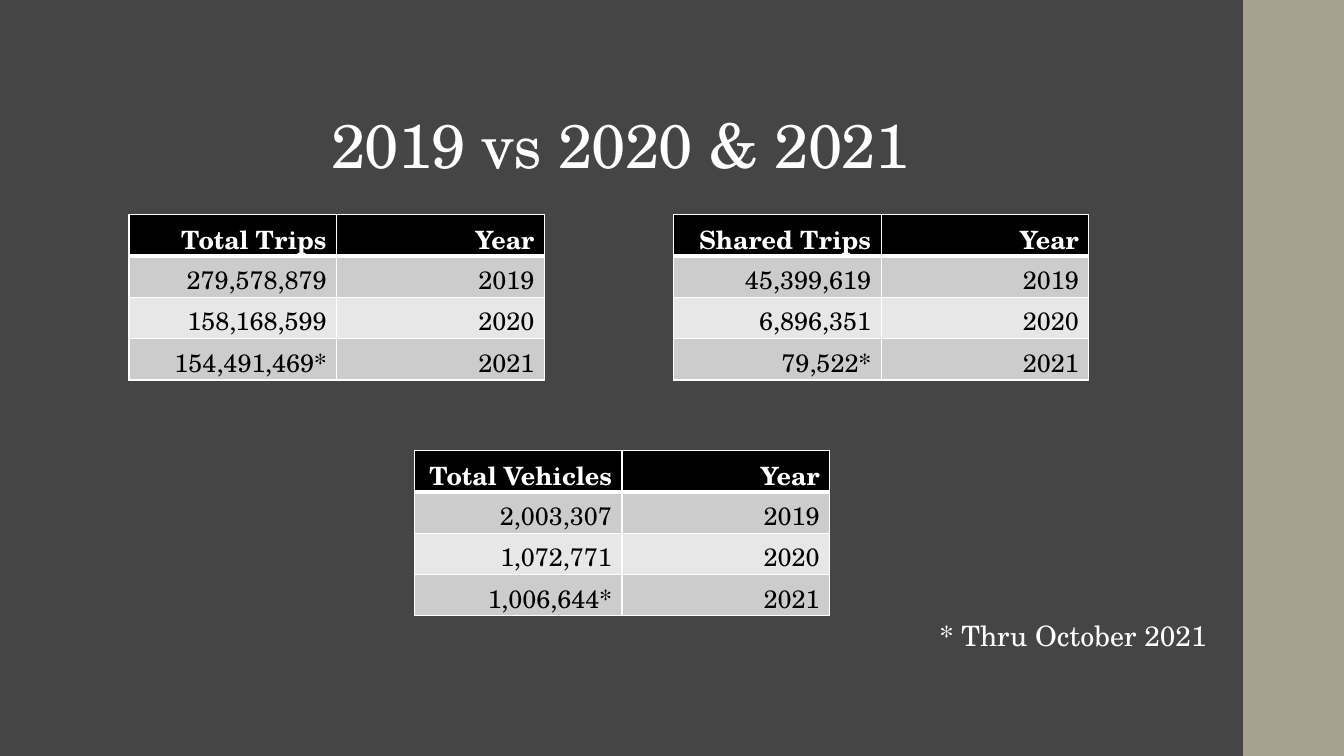
import dataclasses

import lxml.etree
import pptx
import pptx.dml.color
import pptx.enum.shapes
import pptx.enum.text
import pptx.oxml.ns
import pptx.util

Inches = pptx.util.Inches
Pt = pptx.util.Pt
Align = pptx.enum.text.PP_ALIGN
qn = pptx.oxml.ns.qn

FONT = "TeX Gyre Schola"
COLORS = {
    "back": "454545",
    "bar": "A7A192",
    "white": "FFFFFF",
    "black": "000000",
    "odd": "CCCCCC",
    "even": "E7E7E7",
}
YEARS = ("2019", "2020", "2021")
COL = Inches(2.06)
ROW = Inches(0.41)


@dataclasses.dataclass
class Count:
    """A yearly count and the place of its table."""

    name: str
    values: tuple[str, ...]
    left: float
    top: float


COUNTS = (
    Count("Total Vehicles", ("2,003,307", "1,072,771", "1,006,644*"), 4.11, 4.47),
    Count("Total Trips", ("279,578,879", "158,168,599", "154,491,469*"), 1.28, 2.13),
    Count("Shared Trips", ("45,399,619", "6,896,351", "79,522*"), 6.68, 2.13),
)


def tint(fill, key: str) -> None:
    """Give a fill one solid colour."""
    fill.solid()
    fill.fore_color.rgb = pptx.dml.color.RGBColor.from_string(COLORS[key])


def write(frame, text: str, size: int, key: str, align, bold: bool = False) -> None:
    """Set the text of a frame and format it."""
    frame.text = text
    para = frame.paragraphs[0]
    para.alignment = align
    font = para.runs[0].font
    font.name, font.size, font.bold = FONT, Pt(size), bold
    tint(font.fill, key)


def edge(cell, row: int) -> None:
    """Draw white cell borders, thick under the header row."""
    wide = {"lnB": row == 0, "lnT": row == 1}
    props = cell._tc.get_or_add_tcPr()
    for side in ("lnL", "lnR", "lnT", "lnB"):
        width = Pt(3 if wide.get(side) else 1)
        line = lxml.etree.SubElement(props, qn("a:" + side), w=str(width))
        solid = lxml.etree.SubElement(line, qn("a:solidFill"))
        lxml.etree.SubElement(solid, qn("a:srgbClr"), val=COLORS["white"])


def add_count(slide, count: Count) -> None:
    """Add the table of one yearly count."""
    rows = [(count.name, "Year"), *zip(count.values, YEARS)]
    table = slide.shapes.add_table(
        len(rows), 2, Inches(count.left), Inches(count.top), COL * 2, ROW * len(rows)
    ).table
    for i, row in enumerate(rows):
        head = i == 0
        back = "black" if head else "odd" if i % 2 else "even"
        for j, text in enumerate(row):
            cell = table.cell(i, j)
            ink = "white" if head else "black"
            write(cell.text_frame, text, 18, ink, Align.RIGHT, head)
            edge(cell, i)
            tint(cell.fill, back)


def add_title(slide) -> None:
    """Place and format the title."""
    title = slide.shapes.title
    title.left, title.top = Inches(1.38), Inches(0.4)
    title.width, title.height = Inches(9.55), Inches(1.45)
    frame = title.text_frame
    write(frame, "2019 vs 2020 & 2021", 44, "white", Align.CENTER)
    frame.vertical_anchor = pptx.enum.text.MSO_ANCHOR.BOTTOM
    para = frame.paragraphs[0]
    para.line_spacing = 0.9
    para.runs[0].font._element.set("spc", "-50")


def add_bar(slide) -> None:
    """Add the band on the right edge."""
    bar = slide.shapes.add_shape(
        pptx.enum.shapes.MSO_SHAPE.RECTANGLE,
        Inches(12.33), 0, Inches(1), Inches(7.5),
    )
    bar.shadow.inherit = False
    tint(bar.fill, "bar")
    bar.line.fill.background()


def add_note(slide) -> None:
    """Add the footnote on the starred values."""
    note = slide.shapes.add_textbox(
        Inches(9.22), Inches(6.09), Inches(3.11), Inches(0.44)
    )
    note.text_frame.word_wrap = True
    write(note.text_frame, "* Thru October 2021", 20, "white", Align.LEFT)


def main() -> None:
    """Build and save the slide."""
    deck = pptx.Presentation()
    deck.slide_width, deck.slide_height = Inches(13.33), Inches(7.5)
    slide = deck.slides.add_slide(deck.slide_layouts.get_by_name("Title Only"))
    tint(slide.background.fill, "back")
    add_title(slide)
    add_bar(slide)
    add_note(slide)
    for count in COUNTS:
        add_count(slide, count)
    deck.save("out.pptx")


main()
